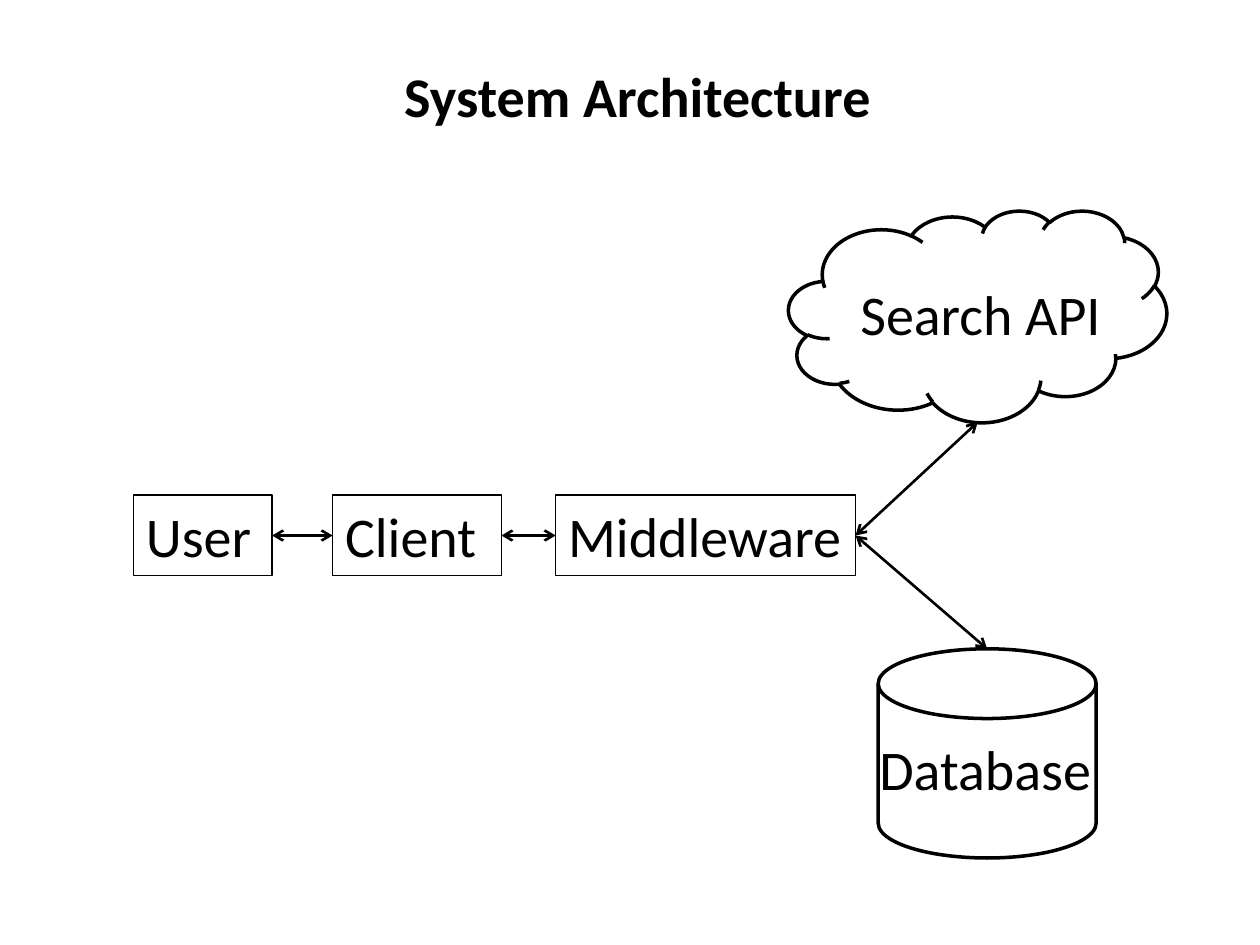
from pptx import Presentation
from pptx.dml.color import RGBColor
from pptx.enum.shapes import MSO_CONNECTOR, MSO_SHAPE
from pptx.enum.text import MSO_ANCHOR, PP_ALIGN
from pptx.oxml.ns import qn
from pptx.util import Inches, Pt
from lxml.etree import SubElement


def color(code):
    return RGBColor.from_string(code)


def spot(shape, across, down):
    return (shape.left + int(shape.width * across),
            shape.top + int(shape.height * down))


class Diagram:
    """Draws boxes, labels and arrows in one style on a slide."""

    font, size, ink, paper = "Calibri", 32, "000000", "FFFFFF"
    high = 0.64

    def __init__(self, slide):
        self.slide = slide

    def letter(self, shape, text, bold=False):
        frame = shape.text_frame
        frame.text = text
        frame.word_wrap = True
        frame.vertical_anchor = MSO_ANCHOR.TOP
        line = frame.paragraphs[0]
        line.alignment = PP_ALIGN.LEFT
        font = line.runs[0].font
        font.name, font.size, font.bold = self.font, Pt(self.size), bold
        font.color.rgb = color(self.ink)

    def shape(self, kind, left, top, width, height, weight):
        shape = self.slide.shapes.add_shape(
            kind, Inches(left), Inches(top), Inches(width), Inches(height))
        shape.shadow.inherit = False
        shape.fill.background()
        shape.line.color.rgb = color(self.ink)
        shape.line.width = Pt(weight)
        return shape

    def box(self, text, left, top, width):
        shape = self.shape(MSO_SHAPE.RECTANGLE, left, top, width, self.high, 0.75)
        self.letter(shape, text)
        return shape

    def patch(self, text, left, top, width):
        shape = self.box(text, left, top, width)
        shape.fill.solid()
        shape.fill.fore_color.rgb = color(self.paper)
        shape.line.fill.background()

    def label(self, text, left, top, width, bold=False):
        shape = self.slide.shapes.add_textbox(
            Inches(left), Inches(top), Inches(width), Inches(self.high))
        self.letter(shape, text, bold)

    def arrow(self, start, end):
        line = self.slide.shapes.add_connector(MSO_CONNECTOR.STRAIGHT, *start, *end)
        line.line.color.rgb = color(self.ink)
        line.line.width = Pt(1.5)
        props = line._element.spPr
        for tag in ("a:headEnd", "a:tailEnd"):
            SubElement(props.find(qn("a:ln")), qn(tag)).set("type", "arrow")
        SubElement(props, qn("a:effectLst"))


deck = Presentation()
deck.slide_width, deck.slide_height = Inches(10), Inches(7.5)
page = Diagram(deck.slides.add_slide(deck.slide_layouts[6]))

TOP, LEFT, BOTTOM, RIGHT = (0.5, 0), (0, 0.5), (0.5, 1), (1, 0.5)
row = 3.93

page.label("System Architecture", 3.11, 0.44, 3.94, bold=True)
chain = [page.box(text, left, row, width) for text, left, width in (
    ("User", 1.06, 1.1), ("Client", 2.64, 1.34), ("Middleware", 4.41, 2.38))]
disk = page.shape(MSO_SHAPE.FLOWCHART_MAGNETIC_DISK, 6.97, 5.15, 1.73, 1.66, 2)
page.label("Database", 6.88, 5.78, 1.89)
cloud = page.shape(MSO_SHAPE.CLOUD, 6.26, 1.67, 3, 1.68, 2)
page.patch("Search API", 6.73, 2.17, 2.21)

for start, end in zip(chain, chain[1:]):
    page.arrow(spot(start, *RIGHT), spot(end, *LEFT))
for end, side in ((cloud, BOTTOM), (disk, TOP)):
    page.arrow(spot(chain[-1], *RIGHT), spot(end, *side))

deck.save("out.pptx")
